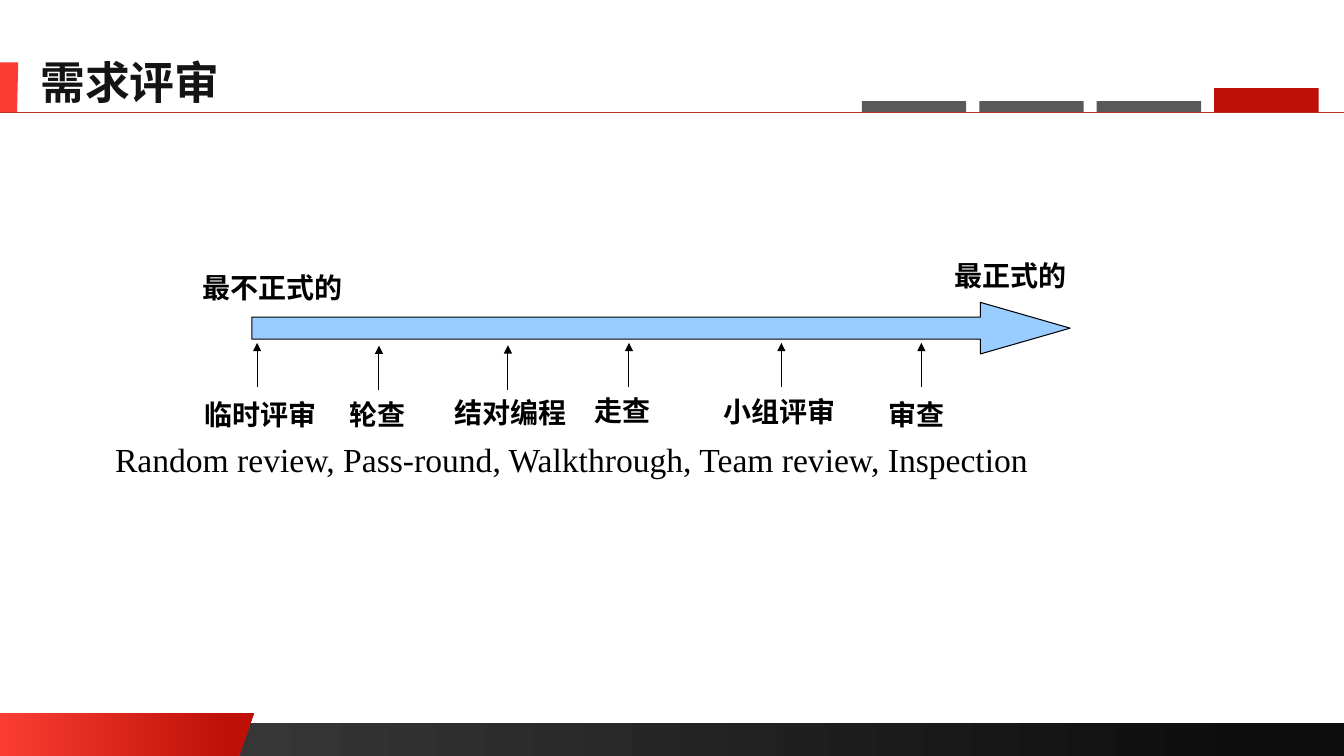
import pptx
import pptx.util
import pptx.dml.color
import pptx.enum.shapes
import pptx.enum.text
from lxml import etree

Cm, Pt = pptx.util.Cm, pptx.util.Pt
SHAPE = pptx.enum.shapes.MSO_SHAPE
ANCHOR = pptx.enum.text.MSO_ANCHOR
A = "{http://schemas.openxmlformats.org/drawingml/2006/main}"
WIDTH, HEIGHT = 33.87, 19.05

# label, tick x, tick top, label left, label top, label width
STAGES = [
    ("临时评审", 6.48, 8.64, 4.98, 9.93, 3.56),
    ("轮查", 9.55, 8.71, 8.64, 9.93, 2.51),
    ("结对编程", 12.8, 8.7, 11.28, 9.88, 3.25),
    ("走查", 15.85, 8.64, 14.81, 9.83, 2.25),
    ("小组评审", 19.69, 8.64, 18.06, 9.86, 3.84),
    ("审查", 23.22, 8.64, 22.22, 9.93, 2.6),
]


def rgb(color):
    return pptx.dml.color.RGBColor.from_string(color)


def paint(sp, *colors, end=1.0):
    """Fill with one colour, or with a left-to-right gradient of two."""
    sp.shadow.inherit = False
    sp.line.fill.background()
    if len(colors) == 1:
        sp.fill.solid()
        sp.fill.fore_color.rgb = rgb(colors[0])
        return
    sp.fill.gradient()
    sp.fill.gradient_angle = 0
    for stop, color, position in zip(sp.fill.gradient_stops, colors, (0, end)):
        stop.color.rgb = rgb(color)
        stop.position = position


def add_box(s, kind, x, y, w, h):
    return s.shapes.add_shape(kind, Cm(x), Cm(y), Cm(w), Cm(h))


def add_slanted(s, x, y, top_w, bottom_w, h):
    fb = s.shapes.build_freeform(Cm(x), Cm(y))
    fb.add_line_segments([(Cm(x + top_w), Cm(y)), (Cm(x + bottom_w), Cm(y + h)),
                          (Cm(x), Cm(y + h))], close=True)
    return fb.convert_to_shape()


def add_line(s, x1, y1, x2, y2, color, width, arrow=False):
    c = s.shapes.add_connector(pptx.enum.shapes.MSO_CONNECTOR.STRAIGHT,
                               Cm(x1), Cm(y1), Cm(x2), Cm(y2))
    c.line.color.rgb = rgb(color)
    c.line.width = Pt(width)
    if arrow:
        etree.SubElement(c.line._get_or_add_ln(), A + "tailEnd", type="triangle")
    etree.SubElement(c._element.spPr, A + "effectLst")


def write(tf, text, size, font, color="000000", bold=False):
    p = tf.paragraphs[0]
    p.text = text
    p.alignment = pptx.enum.text.PP_ALIGN.LEFT
    p.font.size, p.font.name, p.font.bold = Pt(size), font, bold
    p.font.color.rgb = rgb(color)


def add_label(s, text, x, y, w, h=0.97, size=20, font="Arial", bold=True,
              inset=(0.18, 0.08), wrap=True):
    tf = s.shapes.add_textbox(Cm(x), Cm(y), Cm(w), Cm(h)).text_frame
    tf.word_wrap = wrap
    tf.margin_left = tf.margin_right = Cm(inset[0])
    tf.margin_top = tf.margin_bottom = Cm(inset[1])
    write(tf, text, size, font, bold=bold)


def add_header(s, x, y, w, h):
    # Marker and title
    paint(add_slanted(s, x, y, 0.46, 0.43, h), "F93D32")
    title = s.shapes.title
    title.left, title.top = Cm(x + 0.76), Cm(y - 0.33)
    title.width, title.height = Cm(5.08), Cm(1.63)
    tf = title.text_frame
    tf.word_wrap = False
    tf.vertical_anchor = ANCHOR.MIDDLE
    write(tf, "需求评审", 32, "Noto Sans CJK SC", "141316", True)
    # Rule with section tabs, the last one active
    bottom = y + h
    add_line(s, x, bottom, x + w, bottom, "B82E24", 0.5)
    for i in range(4):
        color, tab_h = ("BE1007", 0.61) if i == 3 else ("595959", 0.28)
        paint(add_box(s, SHAPE.RECTANGLE, x + 21.72 + i * 2.96, bottom - tab_h,
                      2.63, tab_h), color)


def add_footer(s, x, y, w, h):
    paint(add_box(s, SHAPE.RECTANGLE, x, y + 0.25, w, h - 0.25),
          "404040", "0D0D0D", end=0.94)
    paint(add_slanted(s, x, y, 6.4, 6.02, h), "F93D32", "BE1007", end=0.91)


def add_formality_scale(s, x, y, w, h):
    # Scale arrow and its two ends
    arrow = add_box(s, SHAPE.RIGHT_ARROW, x, y, w, h)
    arrow.adjustments[0], arrow.adjustments[1] = 0.43, 1.74
    paint(arrow, "99CCFF")
    arrow.line.color.rgb = rgb("000000")
    arrow.line.width = Pt(0.75)
    add_label(s, "最不正式的", x - 1.42, y - 0.89, 4.62)
    add_label(s, "最正式的", x + w - 3.09, y - 1.19, 3.53)
    # Review types along the scale
    for text, tick_x, tick_y, left, top, width in STAGES:
        add_line(s, tick_x, tick_y + 1.12, tick_x, tick_y, "000000", 0.75, arrow=True)
        add_label(s, text, left, top, width)
    # English names
    add_label(s, "Random review, Pass-round, Walkthrough, Team review, Inspection",
              x - 3.45, y + 3.45, 23.22, 1.02, size=24, font="Times New Roman",
              bold=False, inset=(0, 0), wrap=False)


def main():
    prs = pptx.Presentation()
    prs.slide_width, prs.slide_height = Cm(WIDTH), Cm(HEIGHT)
    s = prs.slides.add_slide(prs.slide_layouts[5])
    add_footer(s, 0, 17.96, WIDTH, HEIGHT - 17.96)
    add_header(s, 0, 1.57, WIDTH, 1.26)
    add_formality_scale(s, 6.35, 7.62, 20.62, 1.3)
    prs.save("out.pptx")


if __name__ == "__main__":
    main()
